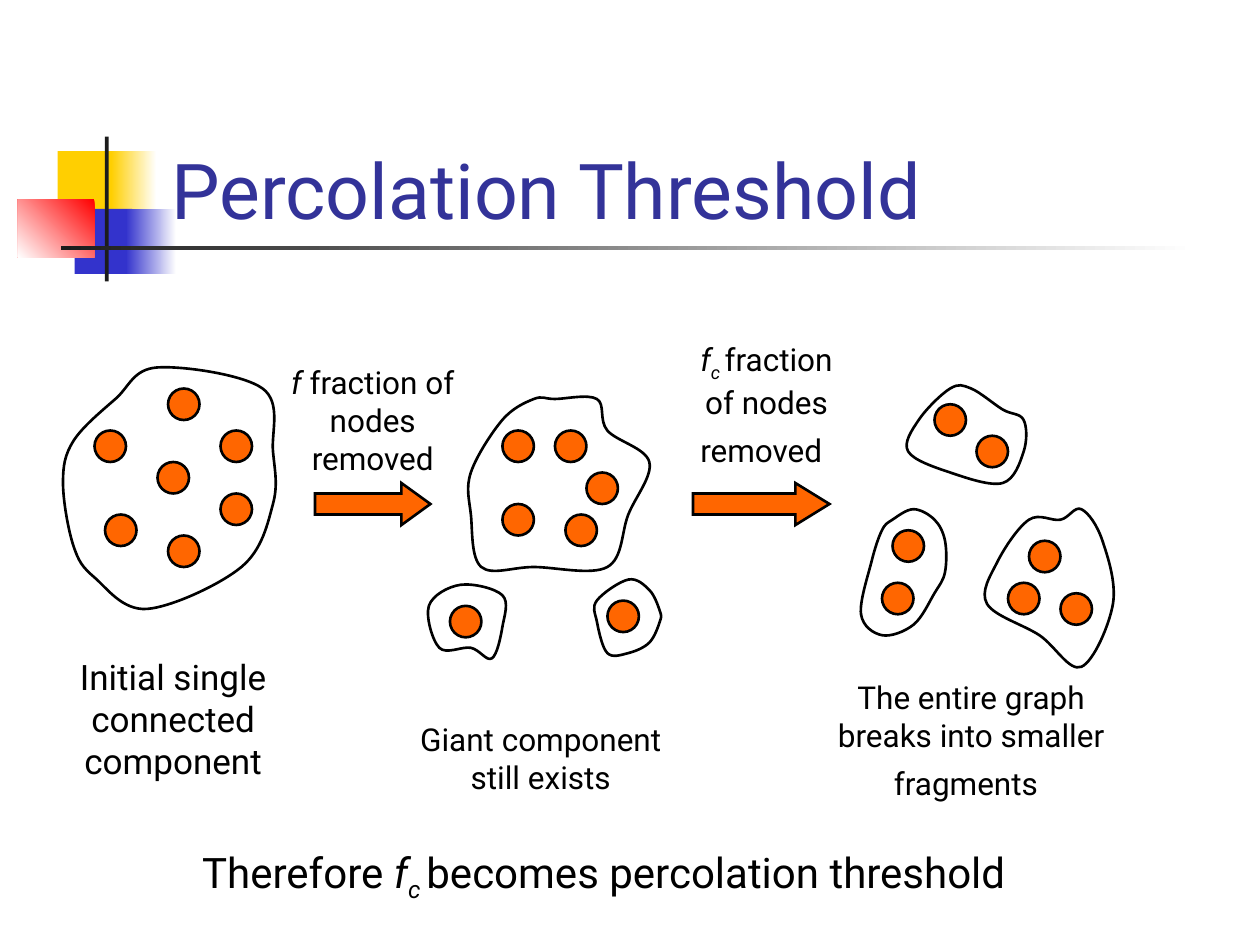
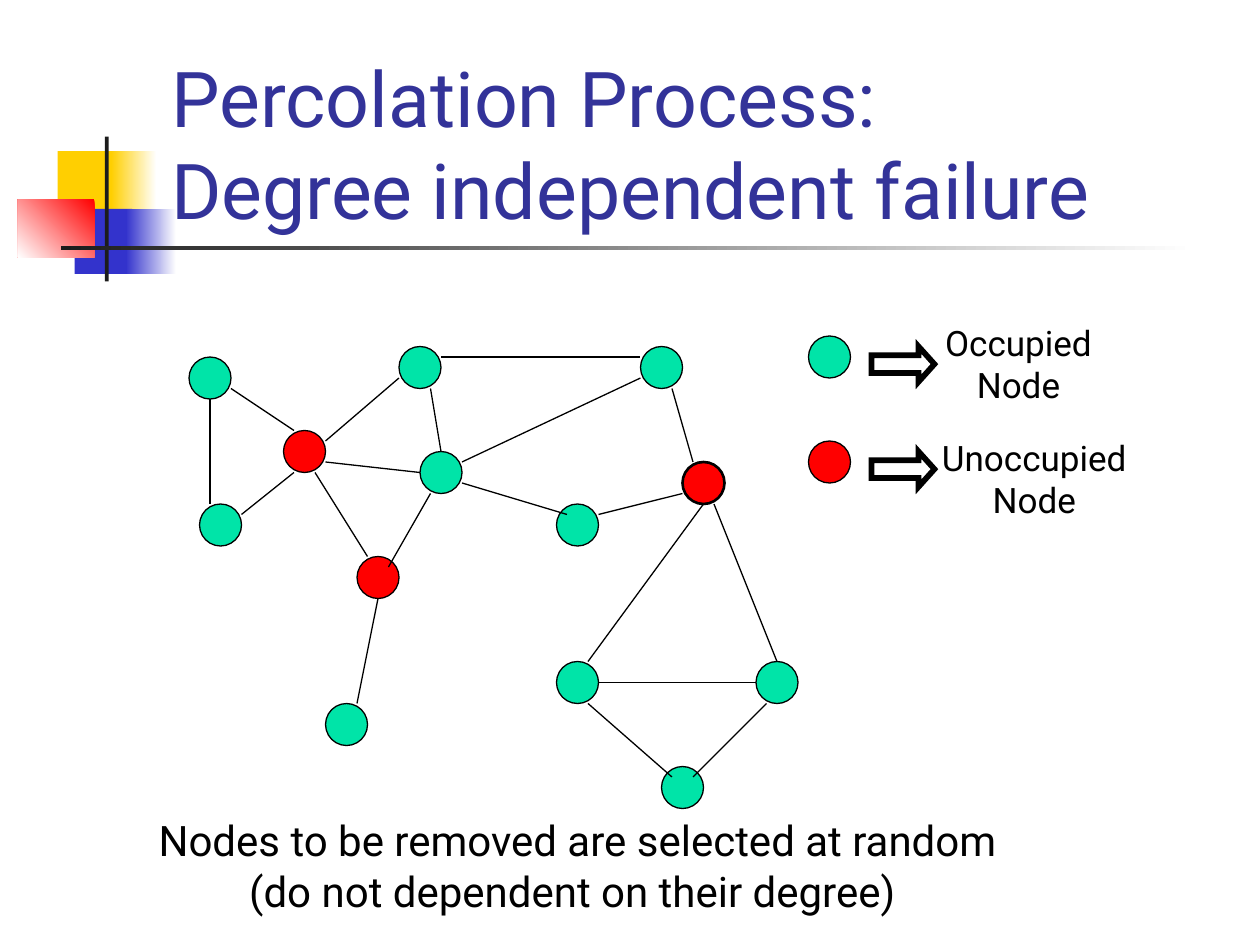
from lxml import etree
from pptx import Presentation
from pptx.dml.color import RGBColor
from pptx.enum.shapes import MSO_CONNECTOR, MSO_SHAPE as SHAPE
from pptx.enum.text import MSO_ANCHOR, PP_ALIGN
from pptx.oxml.ns import qn
from pptx.util import Emu, Inches, Pt

COLORS = {
    "title": "333399", "text": "000000", "line": "000000", "paper": "FFFFFF",
    "orange": "FF6600", "green": "00E4A8", "red": "FF0000",
    "yellow": "FFCF01", "blue": "3333CC", "dark": "1C1C1C",
}
FONT = "Roboto"
COLS, ROWS = 120, 90
TITLE_ONLY = 5


def rgb(name):
    return RGBColor.from_string(COLORS[name])


class Deck:
    """Draws on the current slide; lengths are columns and rows of the grid."""

    def __init__(self):
        self.prs = Presentation()
        self.prs.slide_width, self.prs.slide_height = Inches(10), Inches(7.5)
        self.col = self.prs.slide_width / COLS
        self.row = self.prs.slide_height / ROWS
        self.layout = self.prs.slide_layouts[TITLE_ONLY]
        self.slide = None

    def place(self, x, y):
        return Emu(round(x * self.col)), Emu(round(y * self.row))

    def box(self, x, y, w, h):
        return *self.place(x, y), *self.place(w, h)

    def add_slide(self, title):
        self.slide = self.prs.slides.add_slide(self.layout)
        sp = self.slide.shapes.title
        sp.left, sp.top, sp.width, sp.height = self.box(15.1, 8, 102.2, 15)
        tf = sp.text_frame
        tf.text = title
        tf.vertical_anchor = MSO_ANCHOR.BOTTOM
        tf.paragraphs[0].alignment = PP_ALIGN.LEFT
        for r in tf.paragraphs[0].runs:
            self.font(r, 44, "title")

    def font(self, r, size, color="text"):
        r.font.name, r.font.size = FONT, Pt(size)
        r.font.color.rgb = rgb(color)

    def style(self, sp, fill, width):
        sp.shadow.inherit = False
        sp.fill.solid()
        sp.fill.fore_color.rgb = rgb(fill)
        if width:
            sp.line.color.rgb = rgb("line")
            sp.line.width = Pt(width)
        else:
            sp.line.fill.background()
        return sp

    def shape(self, kind, at, fill, width=0):
        sp = self.slide.shapes.add_shape(kind, *self.box(*at))
        return self.style(sp, fill, width)

    def fade(self, at, start, end, angle):
        sp = self.shape(SHAPE.RECTANGLE, at, start)
        sp.fill.gradient()
        sp.fill.gradient_angle = angle
        for stop, color in zip(sp.fill.gradient_stops, (start, end)):
            stop.color.rgb = rgb(color)
        return sp

    def node(self, x, y, size, fill, width):
        self.shape(SHAPE.OVAL, (x, y, size, size), fill, width)

    def arrow(self, at, head, fill, width):
        sp = self.shape(SHAPE.RIGHT_ARROW, at, fill, width)
        sp.adjustments[1] = head
        ln = sp.element.spPr.find(qn("a:ln"))
        etree.SubElement(ln, qn("a:miter"), lim="800000")

    def edge(self, x1, y1, x2, y2):
        cx = self.slide.shapes.add_connector(
            MSO_CONNECTOR.STRAIGHT, *self.place(x1, y1), *self.place(x2, y2))
        cx.line.color.rgb = rgb("line")
        cx.line.width = Pt(0.75)
        etree.SubElement(cx.element.spPr, qn("a:effectLst"))

    def outline(self, knots, dx=0, dy=0):
        """Closed smooth outline (Catmull-Rom) through the knots."""
        pts = [self.place(x + dx, y + dy) for x, y in knots]
        builder = self.slide.shapes.build_freeform(*pts[0], scale=1.0)
        builder.add_line_segments(pts[1:] + pts[:1], close=True)
        sp = self.style(builder.convert_to_shape(), "paper", 1.5)
        n = len(pts)

        def control(i, sign):
            before, knot, after = pts[i - 1], pts[i], pts[(i + 1) % n]
            x, y = (round(k + sign * (a - b) / 6)
                    for b, k, a in zip(before, knot, after))
            return etree.Element(qn("a:pt"), x=str(x - sp.left), y=str(y - sp.top))

        for i, seg in enumerate(list(sp.element.iter(qn("a:lnTo")))):
            seg.tag = qn("a:cubicBezTo")
            seg.insert(0, control(i, 1))
            seg.insert(1, control((i + 1) % n, -1))

    def component(self, knots, nodes, dx=0, dy=0):
        self.outline(knots, dx, dy)
        for x, y in nodes:
            self.node(x + dx, y + dy, 3, "orange", 1.5)

    def text(self, at, size, *parts):
        """Centred text; a part is a string or (string, look), look being
        "italic", "sub" (italic subscript) or a font size."""
        sp = self.slide.shapes.add_textbox(*self.box(*at))
        tf = sp.text_frame
        tf.word_wrap = True
        p = tf.paragraphs[0]
        p.alignment = PP_ALIGN.CENTER
        for part in parts:
            words, look = (part, None) if isinstance(part, str) else part
            r = p.add_run()
            r.text = words
            self.font(r, look if isinstance(look, int) else size)
            if look in ("italic", "sub"):
                r.font.italic = True
            if look == "sub":
                list(sp.element.iter(qn("a:rPr")))[-1].set("baseline", "-25000")

    def decorate_layout(self):
        """Move the corner blocks and title rule from the slide to the layout."""
        rect = SHAPE.RECTANGLE
        ornaments = [
            self.shape(rect, (5.5, 14.4, 5.8, 6.2), "yellow"),
            self.fade((10.6, 14.4, 4.3, 6.2), "paper", "yellow", 180),
            self.shape(rect, (7.1, 19.9, 5.5, 6.2), "blue"),
            self.fade((12, 19.9, 4.8, 6.2), "paper", "blue", 180),
            self.fade((1.7, 19, 7.3, 5.5), "red", "paper", 225),
            self.shape(rect, (10, 13, 0.36, 13.8), "dark"),
            self.fade((5.8, 23.4, 108, 0.4), "paper", "dark", 180),
        ]
        tree = self.layout.shapes.element
        for i, sp in enumerate(ornaments, start=2):
            tree.insert(i, sp.element)


def threshold_slide(deck):
    deck.add_slide("Percolation Threshold")
    deck.decorate_layout()

    deck.component(
        [(11, 38), (7, 42), (6, 46), (7, 52), (9, 55), (14, 58),
         (23, 54), (26, 48), (26, 43), (25, 37), (15, 35)],
        [(21, 41), (21, 47), (16, 37), (9, 41), (16, 51), (10, 49), (15, 44)])
    deck.arrow((30, 46, 11, 4), 0.69, "orange", 1.5)

    deck.component(
        [(53, 38), (51, 38), (48, 40), (45, 45), (45, 49), (46, 54),
         (51, 54), (58, 54), (60, 49), (62, 44), (58, 41), (57, 38)],
        [(48, 41), (48, 48), (53, 41), (56, 45), (54, 49)], dx=-0.15)
    deck.component(
        [(44, 56), (41, 58), (42, 62), (45, 62), (47, 63), (48, 60), (48, 57)],
        [(43, 58)], dx=-0.15, dy=-0.3)
    deck.component(
        [(60, 56), (57, 58), (57, 60), (58, 63), (60, 63),
         (62, 62), (63, 60), (63, 59), (62, 57)],
        [(58, 58)], dx=-0.15, dy=-0.8)
    deck.arrow((66, 46, 13, 4), 0.81, "orange", 1.5)

    deck.component(
        [(92.5, 37), (90.5, 37), (87.5, 40), (86.5, 43), (90.5, 45),
         (95.5, 46), (97.5, 43), (97.5, 40), (95.5, 39)],
        [(93, 41.5), (89, 38.5)])
    deck.component(
        [(85, 49), (84, 50), (83, 53), (82, 58), (84, 60), (87, 59),
         (89, 56), (90, 54), (90, 51), (89, 49), (87, 48)],
        [(85, 50), (84, 55)], dy=0.5)
    deck.component(
        [(98, 49), (95, 53), (94, 57), (99, 60), (103, 63),
         (106, 57), (105, 51), (103, 48), (101, 49)],
        [(98, 51), (96, 55), (101, 56)], dy=0.5)

    f, f_sub = ("f", "italic"), ("c ", "sub")
    tall_space = (" ", 24)
    deck.text((2, 61.8, 29, 13.2), 20, "Initial single connected component")
    deck.text((25, 34, 21, 12), 18, f, " fraction of nodes removed")
    deck.text((38, 68, 27, 8.4), 18, "Giant component still exists")
    deck.text((64, 31.8, 18, 13.7), 18,
              f, f_sub, "fraction of nodes removed", tall_space)
    deck.text((78, 64, 29, 13.2), 18,
              "The entire graph breaks into smaller fragments", tall_space)
    deck.text((13, 80, 89, 6.7), 24,
              "Therefore ", f, f_sub, "becomes percolation threshold")


def process_slide(deck):
    deck.add_slide("Percolation Process:\vDegree independent failure")
    occupied = [(18, 34), (19, 48), (38, 33), (61, 33), (40, 43), (53, 48),
                (53, 63), (72, 63), (63, 73), (31, 67)]
    for x, y in occupied:
        deck.node(x, y, 4, "green", 0.75)
    for x, y, width in [(27, 41, 0.75), (34, 53, 0.75), (65, 44, 1.5)]:
        deck.node(x, y, 4, "red", width)

    edges = [
        (20, 38, 20, 48), (22, 37, 28, 41), (23, 49, 28, 45), (31, 42, 38, 36),
        (31, 44, 40, 45), (30, 45, 35, 53), (36, 57, 34, 67), (41, 47, 37, 54),
        (41, 37, 42, 43), (42, 34, 61, 34), (61, 36, 44, 44), (44, 46, 54, 49),
        (57, 49, 65, 47), (64, 37, 66, 44), (67, 48, 56, 63), (68, 48, 74, 63),
        (57, 65, 72, 65), (56, 67, 64, 74), (73, 67, 66, 74),
    ]
    for ends in edges:
        deck.edge(*ends)

    legend = [("Occupied Node", "green", 32, (85, 30, 24, 9.2)),
              ("Unoccupied Node", "red", 42, (88, 41, 21, 9.2))]
    for label, color, y, at in legend:
        deck.text(at, 20, label)
        deck.node(77, y, 4, color, 0.75)
        deck.arrow((83, y + 1, 6, 3.36), 0.45, "paper", 3.25)

    deck.text((11, 77, 88, 10.8), 24, "Nodes to be removed are selected at random "
              "(do not dependent on their degree) ")


def main():
    deck = Deck()
    threshold_slide(deck)
    process_slide(deck)
    deck.prs.save("out.pptx")


if __name__ == "__main__":
    main()
